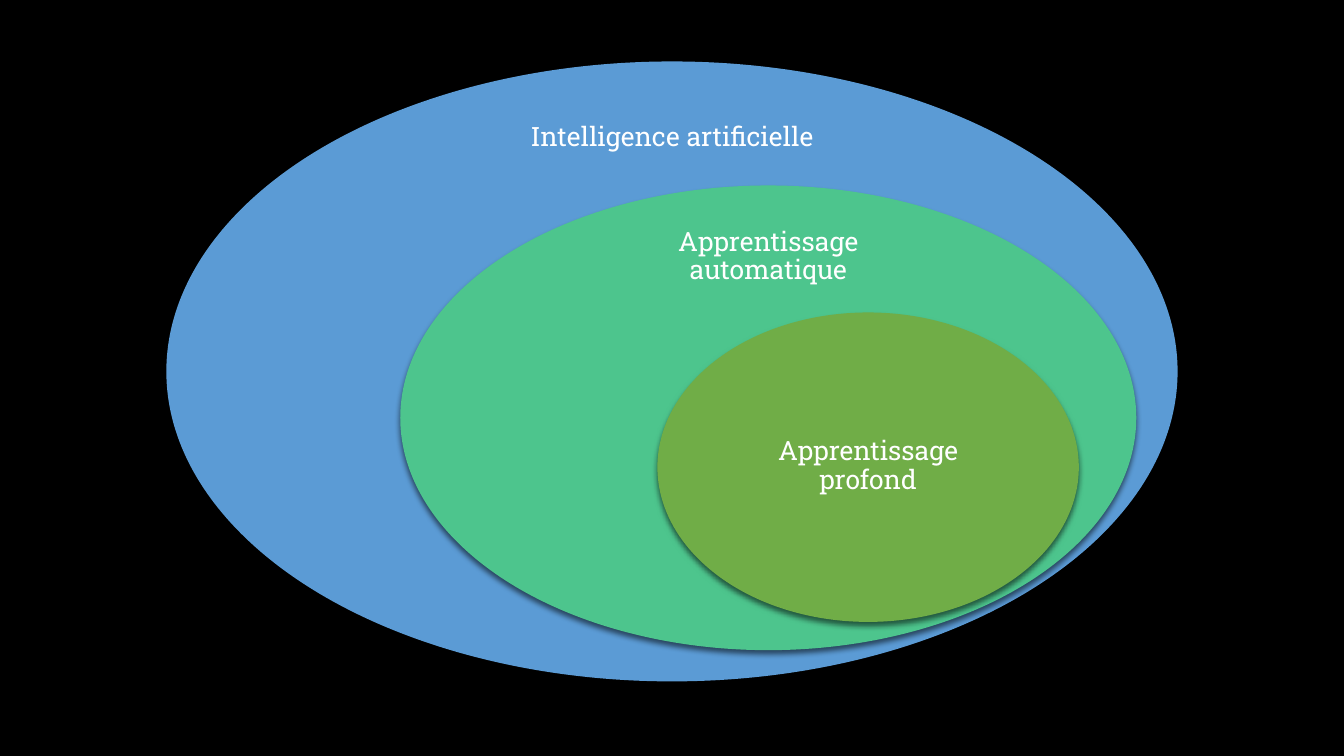
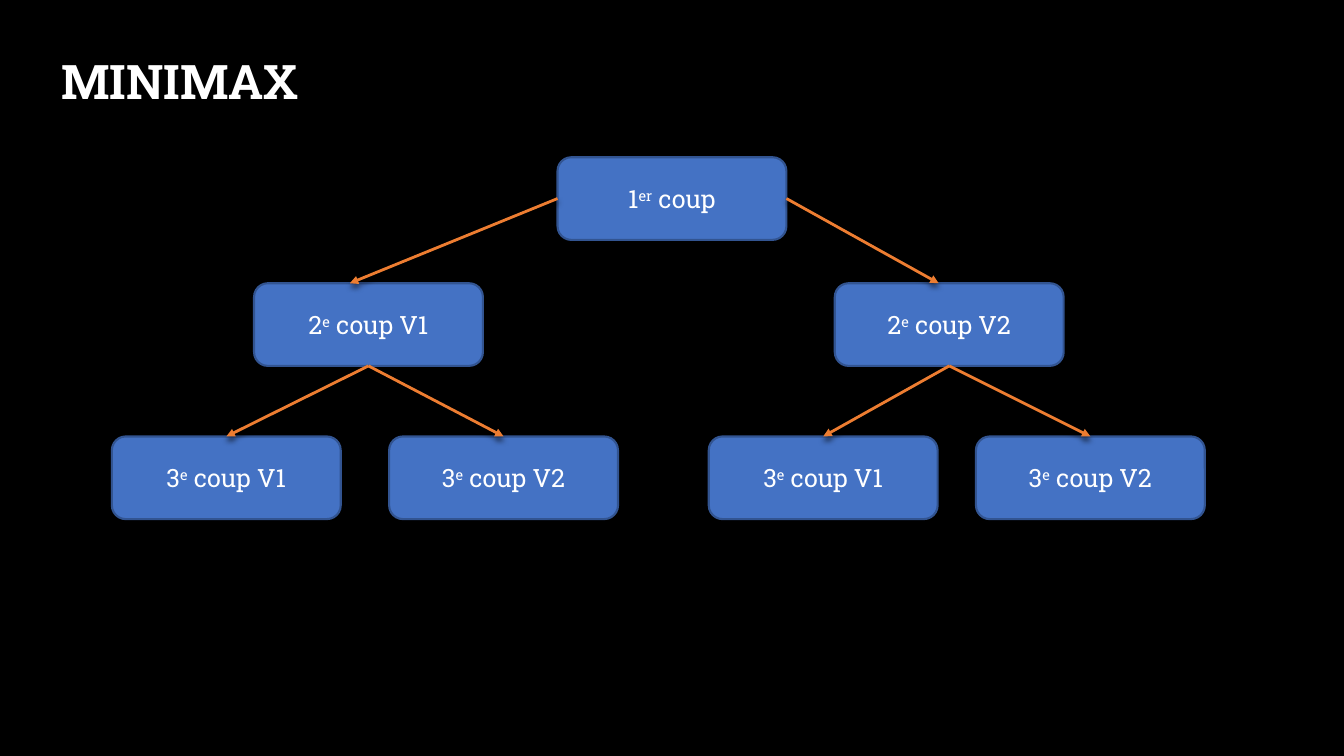
"""Build two slides: nested fields of artificial intelligence and a minimax tree."""
from dataclasses import dataclass

from lxml import etree
from pptx import Presentation
from pptx.dml.color import RGBColor
from pptx.enum.shapes import MSO_CONNECTOR as Connector, MSO_SHAPE as Shape
from pptx.enum.text import MSO_ANCHOR as Anchor, MSO_AUTO_SIZE as AutoSize, PP_ALIGN as Align
from pptx.oxml import parse_xml
from pptx.oxml.ns import nsdecls, qn
from pptx.util import Emu, Pt

EMU_PER_PX = 9144
SLIDE_SIZE = (1333, 750)
TITLE_ONLY, BLANK = 5, 6
TOP, LEFT, BOTTOM, RIGHT = range(4)
NODE_SIZE = (227, 82)


@dataclass(frozen=True)
class Theme:
    font: str = "Roboto Slab"
    background: str = "000000"
    text: str = "FFFFFF"
    field: str = "5B9BD5"
    subfield: str = "4DC58D"
    core: str = "70AD47"
    node: str = "4472C4"
    node_line: str = "325491"
    arrow: str = "ED7D31"
    title_size: int = 34
    label_size: int = 19
    node_size: int = 18
    node_line_width: float = 1.5
    arrow_width: float = 2


def px(*lengths):
    return [Emu(length * EMU_PER_PX) for length in lengths]


def rgb(color):
    return RGBColor.from_string(color)


def set_text(frame, text, *, font, size, color, bold=False, align=Align.CENTER,
             line_spacing=None, inset=None):
    frame.word_wrap = True
    frame.auto_size = AutoSize.NONE
    frame.vertical_anchor = Anchor.MIDDLE
    if inset is not None:
        (margin,) = px(inset)
        frame.margin_left = frame.margin_right = margin
        frame.margin_top = frame.margin_bottom = margin
    para = frame.paragraphs[0]
    para.alignment = align
    para.line_spacing = line_spacing
    for index, part in enumerate(text.split("^")):
        span = para.add_run()
        span.text = part
        span.font.name, span.font.size, span.font.bold = font, Pt(size), bold
        span.font.color.rgb = rgb(color)
        if index % 2:
            span.font._element.set("baseline", "30000")


def add_shadow(shape):
    shape._element.spPr.append(parse_xml(
        f'<a:effectLst {nsdecls("a")}>'
        '<a:outerShdw blurRad="50800" dist="38100" dir="5400000" rotWithShape="0">'
        '<a:srgbClr val="000000"><a:alpha val="54000"/></a:srgbClr>'
        '</a:outerShdw></a:effectLst>'))


class SlideBuilder:
    def __init__(self, theme):
        self.theme = theme
        self.deck = Presentation()
        self.deck.slide_width, self.deck.slide_height = px(*SLIDE_SIZE)
        fill = self.deck.slide_master.background.fill
        fill.solid()
        fill.fore_color.rgb = rgb(theme.background)
        self.page = None

    def new_page(self, layout):
        self.page = self.deck.slides.add_slide(self.deck.slide_layouts[layout])

    def text(self, frame, text, size, **options):
        set_text(frame, text, font=self.theme.font, size=size,
                 color=self.theme.text, **options)

    def title(self, text):
        box = self.page.shapes.title
        box.left, box.top, box.width, box.height = px(51, 11, 1132, 145)
        self.text(box.text_frame, text, self.theme.title_size, bold=True,
                  align=Align.LEFT, line_spacing=0.9)

    def shape(self, kind, bounds, color):
        box = self.page.shapes.add_shape(kind, *px(*bounds))
        box.fill.solid()
        box.fill.fore_color.rgb = rgb(color)
        return box

    def ellipse(self, bounds, color):
        oval = self.shape(Shape.OVAL, bounds, color)
        oval.line.fill.background()
        add_shadow(oval)

    def label(self, text, bounds):
        box = self.page.shapes.add_textbox(*px(*bounds))
        self.text(box.text_frame, text, self.theme.label_size,
                  line_spacing=0.9, inset=15)

    def node(self, text, left, top):
        box = self.shape(Shape.ROUNDED_RECTANGLE, (left, top, *NODE_SIZE), self.theme.node)
        box.line.color.rgb = rgb(self.theme.node_line)
        box.line.width = Pt(self.theme.node_line_width)
        box.shadow.inherit = False
        self.text(box.text_frame, text, self.theme.node_size)
        return box

    def arrow(self, parent, side, child=None, tip=(0, 0)):
        link = self.page.shapes.add_connector(Connector.STRAIGHT, *px(0, 0, *tip))
        link.begin_connect(parent, side)
        if child is not None:
            link.end_connect(child, TOP)
        link.line.color.rgb = rgb(self.theme.arrow)
        link.line.width = Pt(self.theme.arrow_width)
        etree.SubElement(link.line._get_or_add_ln(), qn("a:tailEnd"), type="triangle")
        add_shadow(link)


def build_fields(builder):
    theme = builder.theme
    fields = [
        ("Intelligence artificielle", theme.field, (165, 61, 1003, 615), (491, 91, 351, 92)),
        ("Apprentissage automatique", theme.subfield, (397, 184, 730, 461), (592, 212, 340, 86)),
        ("Apprentissage profond", theme.core, (652, 310, 418, 307), (713, 386, 296, 154)),
    ]
    builder.new_page(BLANK)
    for text, color, oval_bounds, label_bounds in fields:
        builder.ellipse(oval_bounds, color)
        builder.label(text, label_bounds)


def build_minimax(builder):
    builder.new_page(TITLE_ONLY)
    builder.title("MINIMAX")
    root = builder.node("1^er^ coup", 553, 156)
    branches = [
        (252, LEFT, 347, (111, 386)),
        (828, RIGHT, 931, (703, 968)),
    ]
    second_top, third_top = 281, 433
    for version, (left, side, tip_x, leaf_lefts) in enumerate(branches, 1):
        branch = builder.node(f"2^e^ coup V{version}", left, second_top)
        builder.arrow(root, side, tip=(tip_x, second_top))
        for leaf_version, leaf_left in enumerate(leaf_lefts, 1):
            leaf = builder.node(f"3^e^ coup V{leaf_version}", leaf_left, third_top)
            builder.arrow(branch, BOTTOM, leaf)


def main():
    builder = SlideBuilder(Theme())
    build_fields(builder)
    build_minimax(builder)
    builder.deck.save("out.pptx")


if __name__ == "__main__":
    main()
